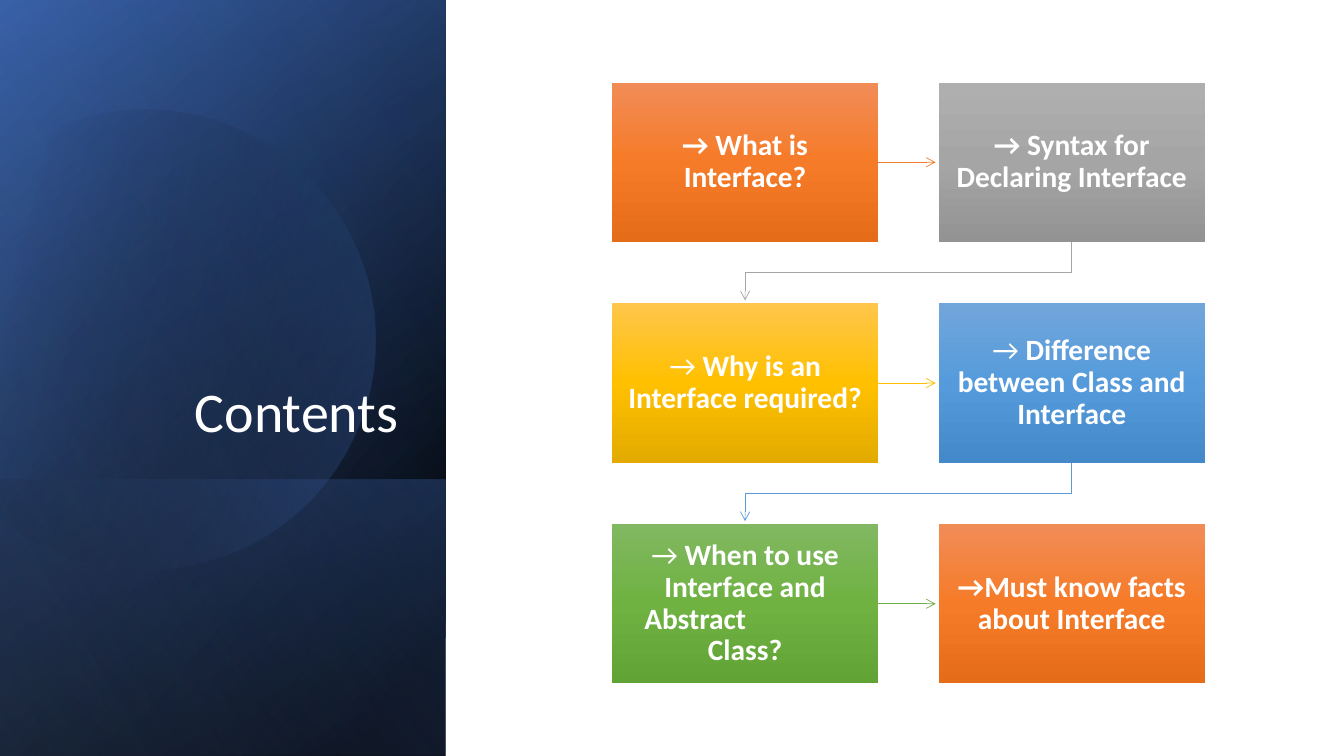
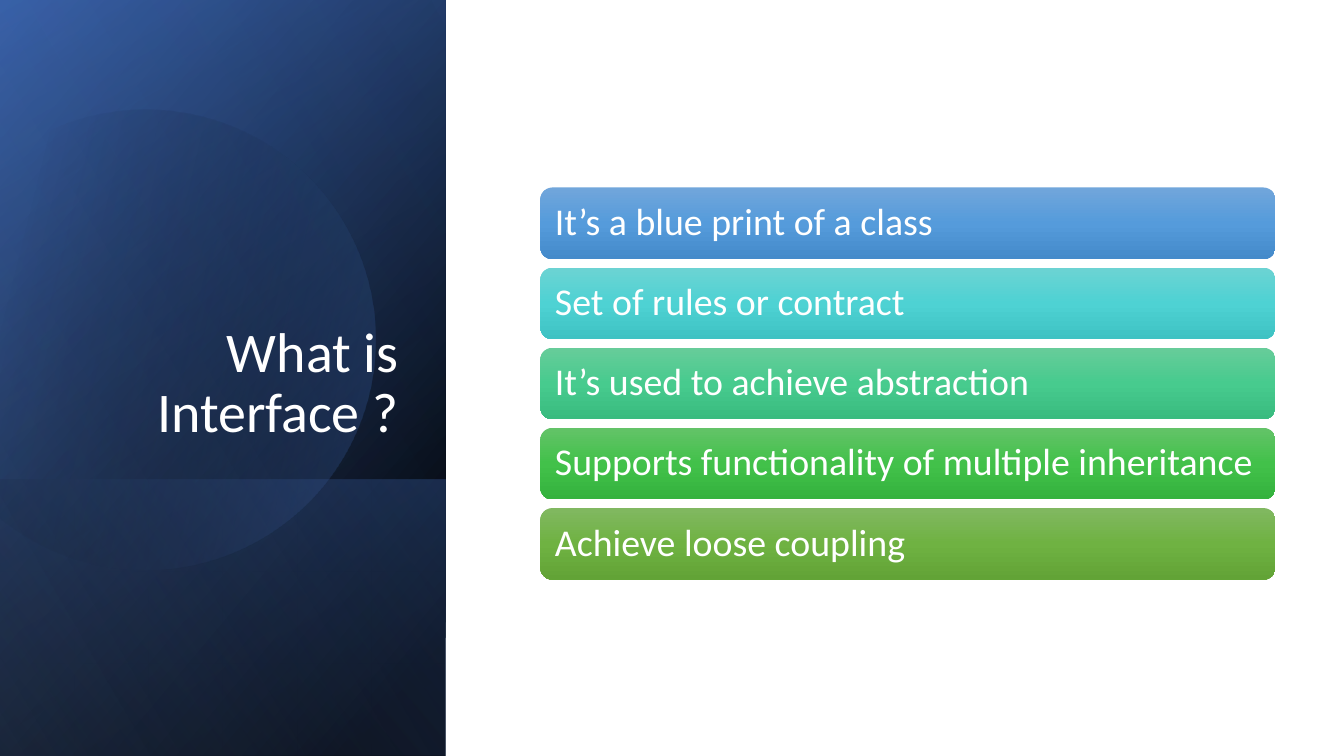
from dataclasses import dataclass
from typing import NamedTuple, Optional

from lxml.etree import SubElement
from pptx import Presentation
from pptx.dml.color import RGBColor
from pptx.enum.shapes import MSO_CONNECTOR as CONN, MSO_SHAPE as SHAPE
from pptx.enum.text import MSO_ANCHOR as ANCHOR, PP_ALIGN as ALIGN
from pptx.oxml.ns import qn
from pptx.util import Inches, Pt

SLIDE_W, SLIDE_H = 13.33, 7.5
PANEL_W = 4.42


class Stop(NamedTuple):
    pos: int
    color: str
    alpha: int = 100


class Ramp(NamedTuple):
    """Top, middle and bottom colours of a box, and the colour of its arrow."""
    top: str
    mid: str
    bottom: str
    arrow: str = ""

    def stops(self) -> list[Stop]:
        return [Stop(0, self.top), Stop(50, self.mid), Stop(100, self.bottom)]


@dataclass(frozen=True)
class Theme:
    font: str = "Calibri"
    title_size: int = 40
    card_size: int = 21
    bar_size: int = 27
    line_spacing: float = 0.9
    arrow_width: float = 0.5
    text: str = "FFFFFF"
    black: str = "000000"
    navy: str = "2F5597"
    blue: str = "4472C4"
    pale_blue: str = "8FAADC"
    orange: Ramp = Ramp("F18C57", "F67B28", "E56C19", "ED7D31")
    gray: Ramp = Ramp("AFAFAF", "A5A5A5", "939393", "A5A5A5")
    gold: Ramp = Ramp("FFC64B", "FFC000", "E3AB00", "FFC000")
    sky: Ramp = Ramp("71A6DB", "559BDB", "448ACA", "5B9BD5")
    green: Ramp = Ramp("81B861", "6FB242", "62A336", "70AD47")
    aqua: Ramp = Ramp("6CD3D3", "4ED2D3", "3EC2C3")
    mint: Ramp = Ramp("67CC9A", "47CB8E", "39BB7F")
    leaf: Ramp = Ramp("63C368", "42C14A", "34B23D")


T = Theme()


class Layer(NamedTuple):
    """A gradient sheet over the panel, from top down to the slide's end."""
    top: float
    angle: int
    stops: list[Stop]


class Card(NamedTuple):
    text: str
    ramp: Ramp
    lead: Optional[str] = None  # opening run that is not bold


class Bar(NamedTuple):
    text: str
    ramp: Ramp


LOWER_LAYERS = [
    Layer(0, 50, [Stop(8, T.black), Stop(100, T.navy)]),
    Layer(0, 30, [Stop(0, T.black, 0), Stop(99, T.blue, 46)]),
    Layer(4.76, 130, [Stop(2, T.blue, 29), Stop(100, T.black, 30)]),
]
DISC_STOPS = [Stop(29, T.black, 0), Stop(100, T.blue, 43)]
TOP_LAYER = Layer(0, 120, [Stop(0, T.black, 0), Stop(99, T.pale_blue, 11)])

CARDS = [
    Card("→ What is Interface?", T.orange),
    Card("→ Syntax for Declaring Interface", T.gray),
    Card("Why is an Interface required?", T.gold, "→ "),
    Card("Difference between Class and Interface", T.sky, "→ "),
    Card("When to use Interface and Abstract \tClass?", T.green, "→ "),
    Card("→Must know facts about Interface", T.orange),
]
CARD_LEFT, CARD_TOP, CARD_W, CARD_H = 6.07, 0.82, 2.64, 1.58
COLUMN_STEP, ROW_STEP = 3.24, 2.19
CARD_TAB = 2
ARROW_GAP = 0.03

BARS = [
    Bar("It’s a blue print of a class", T.sky),
    Bar("Set of rules or contract", T.aqua),
    Bar("It’s used to achieve abstraction", T.mint),
    Bar("Supports functionality of multiple inheritance", T.leaf),
    Bar("Achieve loose coupling", T.green),
]
BAR_LEFT, BAR_W, BAR_H = 5.36, 7.29, 0.71
FIRST_BAR_TOP, LAST_BAR_TOP = 1.86, 5.04


def fill_gradient(sp, stops: list[Stop], angle: int) -> None:
    """Fill without outline or shadow; the angle runs clockwise."""
    sp.shadow.inherit = False
    sp.line.fill.background()
    sp.fill.gradient()
    sp.fill.gradient_angle = 360 - angle
    gs_list = sp._element.spPr.find(qn("a:gradFill")).find(qn("a:gsLst"))
    for old in list(gs_list):
        gs_list.remove(old)
    for stop in stops:
        gs = SubElement(gs_list, qn("a:gs"), pos=str(stop.pos * 1000))
        clr = SubElement(gs, qn("a:srgbClr"), val=stop.color)
        if stop.alpha < 100:
            SubElement(clr, qn("a:alpha"), val=str(stop.alpha * 1000))


def write(sp, text: str, size: int, align: ALIGN, anchor: ANCHOR,
          bold: bool = False, lead: Optional[str] = None) -> None:
    tf = sp.text_frame
    tf.word_wrap = True
    tf.vertical_anchor = anchor
    p = tf.paragraphs[0]
    p.alignment = align
    p.line_spacing = T.line_spacing
    p.font.name = T.font
    p.font.size = Pt(size)
    p.font.bold = bold
    p.font.color.rgb = RGBColor.from_string(T.text)
    if lead:
        r = p.add_run()
        r.text = lead
        r.font.bold = False
    p.add_run().text = text


def set_insets(sp, x: float, y: float) -> None:
    tf = sp.text_frame
    tf.margin_left = tf.margin_right = Inches(x)
    tf.margin_top = tf.margin_bottom = Inches(y)


def set_tab_stop(sp, pos: float) -> None:
    p_pr = sp.text_frame.paragraphs[0]._p.pPr
    tabs = SubElement(p_pr, qn("a:tabLst"))
    SubElement(tabs, qn("a:tab"), pos=str(Inches(pos)), algn="l")
    p_pr.find(qn("a:defRPr")).addprevious(tabs)


def add_layer(slide, layer: Layer) -> None:
    """Add a sheet turned by a quarter, so its gradient turns with it."""
    length = SLIDE_H - layer.top
    left = (PANEL_W - length) / 2
    top = layer.top + (length - PANEL_W) / 2
    sp = slide.shapes.add_shape(SHAPE.RECTANGLE, Inches(left), Inches(top),
                                Inches(length), Inches(PANEL_W))
    sp.rotation = 90
    sp._element.spPr.find(qn("a:xfrm")).set("flipH", "1")
    fill_gradient(sp, layer.stops, layer.angle)


def add_disc(slide) -> None:
    """Add the tilted disc whose left side is cut off by a chord."""
    cx, cy, radius, tilt, half_arc = 1.44, 3.37, 2.28, 16.1, 134
    sp = slide.shapes.add_shape(SHAPE.CHORD, Inches(cx - radius), Inches(cy - radius),
                                Inches(2 * radius), Inches(2 * radius))
    units_per_degree = 0.6
    sp.adjustments[0] = (360 - half_arc + tilt) * units_per_degree
    sp.adjustments[1] = (half_arc + tilt) * units_per_degree
    sp.rotation = -tilt
    fill_gradient(sp, DISC_STOPS, 30)


def add_panel(slide, title: str) -> None:
    for layer in LOWER_LAYERS:
        add_layer(slide, layer)
    add_disc(slide)
    add_layer(slide, TOP_LAYER)
    box = slide.shapes.add_textbox(Inches(0.64), Inches(1.84),
                                   Inches(3.41), Inches(2.62))
    write(box, title, T.title_size, ALIGN.RIGHT, ANCHOR.BOTTOM)


def style_arrow(sp, color: str) -> None:
    sp.line.width = Pt(T.arrow_width)
    sp.line.color.rgb = RGBColor.from_string(color)
    sp_pr = sp._element.spPr
    SubElement(sp_pr.find(qn("a:ln")), qn("a:tailEnd"), type="arrow")
    SubElement(sp_pr, qn("a:effectLst"))


def add_arrow_right(slide, start, end, color: str) -> None:
    y = start.top + start.height // 2
    arrow = slide.shapes.add_connector(CONN.STRAIGHT, start.left + start.width, y,
                                       end.left - Inches(ARROW_GAP), y)
    arrow.begin_connect(start, 3)
    style_arrow(arrow, color)


def add_arrow_to_next_row(slide, start, end, color: str) -> None:
    x1, x2 = (box.left + box.width // 2 for box in (start, end))
    y1, y2 = start.top + start.height, end.top - Inches(ARROW_GAP)
    bend = (y1 + end.top) // 2
    builder = slide.shapes.build_freeform(x1, y1)
    builder.add_line_segments([(x1, bend), (x2, bend), (x2, y2)], close=False)
    sp = builder.convert_to_shape()
    sp.fill.background()
    style_arrow(sp, color)


def add_card(slide, index: int, card: Card):
    row, column = divmod(index, 2)
    sp = slide.shapes.add_shape(
        SHAPE.RECTANGLE, Inches(CARD_LEFT + column * COLUMN_STEP),
        Inches(CARD_TOP + row * ROW_STEP), Inches(CARD_W), Inches(CARD_H))
    fill_gradient(sp, card.ramp.stops(), 90)
    set_insets(sp, 0.13, 0.14)
    write(sp, card.text, T.card_size, ALIGN.CENTER, ANCHOR.MIDDLE, True, card.lead)
    if "\t" in card.text:
        set_tab_stop(sp, CARD_TAB)
    return sp


def add_bar(slide, index: int, bar: Bar) -> None:
    step = (LAST_BAR_TOP - FIRST_BAR_TOP) / (len(BARS) - 1)
    sp = slide.shapes.add_shape(
        SHAPE.ROUNDED_RECTANGLE, Inches(BAR_LEFT),
        Inches(FIRST_BAR_TOP + index * step), Inches(BAR_W), Inches(BAR_H))
    fill_gradient(sp, bar.ramp.stops(), 90)
    set_insets(sp, 0.11, 0.11)
    write(sp, bar.text, T.bar_size, ALIGN.LEFT, ANCHOR.MIDDLE)


def add_slide(prs, title: str):
    slide = prs.slides.add_slide(prs.slide_layouts[6])
    add_panel(slide, title)
    return slide


def build_contents(prs) -> None:
    slide = add_slide(prs, "Contents")
    boxes = [add_card(slide, i, card) for i, card in enumerate(CARDS)]
    for i, (start, end) in enumerate(zip(boxes, boxes[1:])):
        add_arrow = add_arrow_to_next_row if i % 2 else add_arrow_right
        add_arrow(slide, start, end, CARDS[i].ramp.arrow)


def build_definition(prs) -> None:
    slide = add_slide(prs, "What is Interface ?")
    for i, bar in enumerate(BARS):
        add_bar(slide, i, bar)


def main() -> None:
    prs = Presentation()
    prs.slide_width, prs.slide_height = Inches(SLIDE_W), Inches(SLIDE_H)
    build_contents(prs)
    build_definition(prs)
    prs.save("out.pptx")


if __name__ == "__main__":
    main()
